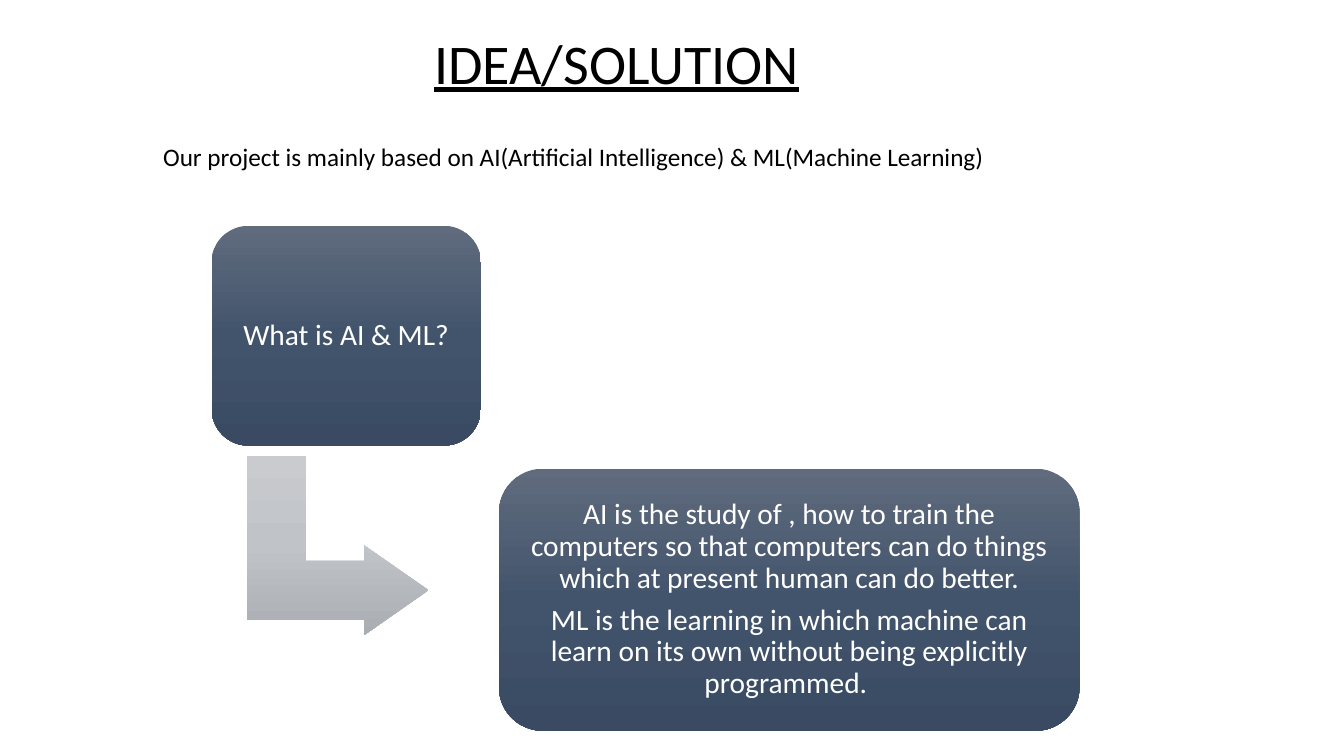
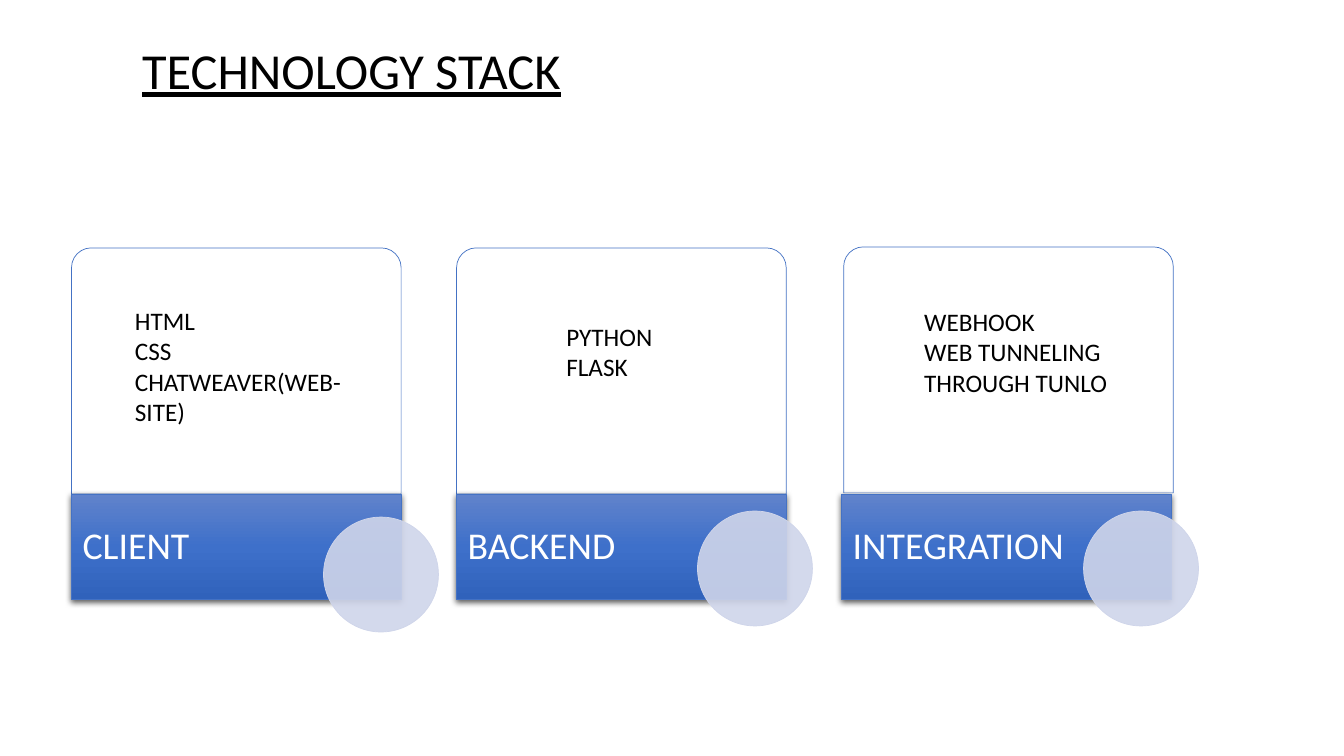
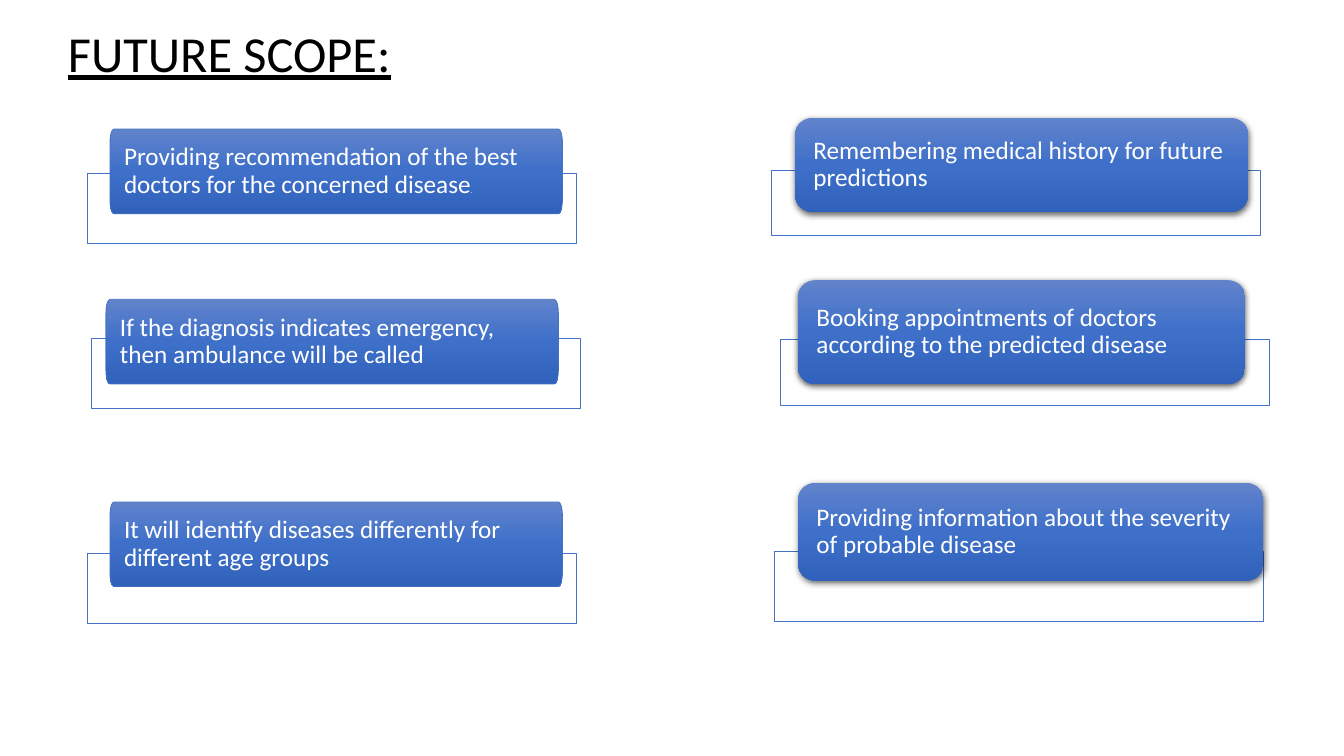
from lxml.etree import SubElement
from pptx import Presentation
from pptx.dml.color import RGBColor
from pptx.enum.shapes import MSO_SHAPE as Preset
from pptx.enum.text import MSO_ANCHOR as Anchor, MSO_AUTO_SIZE as AutoSize, PP_ALIGN as Align
from pptx.oxml.ns import qn
from pptx.util import Pt

PX = 9144
CURVE = 0.55
FONT = "Calibri"
COLORS = {"ink": "000000", "paper": "FFFFFF", "outline": "4472C4", "disc": "CFD5EA"}
GRADIENTS = {
    "slate": ["606B7D", "42546C", "394A62"],
    "blue": ["6183CB", "3E70CA", "3062BB"],
    "silver": ["C9CBCF", "C0C3C7", "AAADB2"],
}
COMPACT = {"line_spacing": 0.9}

ANSWERS = [
    "AI is the study of , how to train the computers so that computers can do things "
    "which at present human can do better.",
    "ML is the learning in which machine can learn on its own without being explicitly programmed. ",
]
STACK = [
    ("CLIENT", ["HTML", "CSS", "CHATWEAVER(WEB-SITE)"], (0, 0), (53, 52, 227, 131), (250, 267)),
    ("BACKEND", ["PYTHON", "FLASK"], (0, 0), (99, 68, 194, 71), (239, 261)),
    ("INTEGRATION", ["WEBHOOK", "WEB TUNNELING", "THROUGH TUNLO"], (2, -1), (72, 53, 216, 101), (240, 261)),
]
LEFT_STYLE = {"radii": (4, 14), "insets": (14, 1, 14, 1), "shadow": False}
RIGHT_STYLE = {"radii": (17, 16), "insets": (18, 5, 18, 5), "shadow": True}
SCOPE = [
    (LEFT_STYLE, (87, 172, 485, 69), (22, -44, 449, 84),
     "Providing recommendation of the best doctors for the concerned disease", "."),
    (LEFT_STYLE, (91, 336, 485, 69), (14, -39, 449, 84),
     "If the diagnosis indicates emergency, then ambulance will be called", ""),
    (LEFT_STYLE, (87, 549, 485, 69), (22, -51, 449, 84),
     "It will identify diseases differently for different age groups", ""),
    (RIGHT_STYLE, (765, 169, 485, 65), (24, -52, 449, 93),
     "Remembering medical history for future predictions", ""),
    (RIGHT_STYLE, (774, 337, 485, 65), (18, -59, 443, 103),
     "Booking appointments of doctors according to the predicted disease", ""),
    (RIGHT_STYLE, (768, 547, 485, 69), (24, -68, 461, 97),
     "Providing information about the severity of probable disease", ""),
]


def set_values(target, values):
    """Set each named attribute of the target."""
    for name, value in values.items():
        setattr(target, name, value)


def emu(box):
    """Turn px lengths into EMU."""
    return [length * PX for length in box]


def add_run(paragraph, text, size, color="ink", underline=None):
    """Append one formatted run."""
    run = paragraph.add_run()
    run.text = text
    set_values(run.font, {"name": FONT, "size": Pt(size), "underline": underline})
    run.font.color.rgb = RGBColor.from_string(COLORS[color])


def write(shape, lines, size, color="ink", insets=(10, 5, 10, 5), frame=None, paragraph_format=None, underline=None):
    """Write the lines into the shape, one paragraph each."""
    text_frame = shape.text_frame
    sides = ("margin_left", "margin_top", "margin_right", "margin_bottom")
    set_values(text_frame, dict(zip(sides, emu(insets))))
    set_values(text_frame, {"word_wrap": True, "vertical_anchor": Anchor.TOP, **(frame or {})})
    for index, line in enumerate(lines):
        paragraph = text_frame.add_paragraph() if index else text_frame.paragraphs[0]
        set_values(paragraph, {"alignment": Align.LEFT, **(paragraph_format or {})})
        add_run(paragraph, line, size, color, underline)


def add_title(slide, box, text, size, wrap=False, alignment=Align.LEFT):
    """Move the title placeholder and write the underlined title."""
    title = slide.shapes.title
    set_values(title, dict(zip(("left", "top", "width", "height"), emu(box))))
    frame = {"word_wrap": wrap, "auto_size": AutoSize.SHAPE_TO_FIT_TEXT}
    write(title, [text], size, frame=frame, paragraph_format={"alignment": alignment}, underline=True)


def add_text(slide, box, lines, size=18, wrap=True):
    """Add a plain text box."""
    frame = {"word_wrap": wrap, "auto_size": AutoSize.SHAPE_TO_FIT_TEXT}
    write(slide.shapes.add_textbox(*emu(box)), lines, size, frame=frame)


def paint_gradient(shape, name):
    """Fill the shape from top to bottom with three evenly spaced colours."""
    shape.fill.gradient()
    shape.fill.gradient_angle = 270
    gradient = shape.element.spPr.find(qn("a:gradFill"))
    gradient.set("rotWithShape", "0")
    stops = gradient.find(qn("a:gsLst"))
    stops.clear()
    for index, color in enumerate(GRADIENTS[name]):
        stop = SubElement(stops, qn("a:gs"), pos=str(index * 50000))
        SubElement(stop, qn("a:srgbClr"), val=color)


def paint_solid(fill, name):
    """Fill with one colour."""
    fill.solid()
    fill.fore_color.rgb = RGBColor.from_string(COLORS[name])


def set_outline(shape, name):
    """Give the shape a thin outline, or none."""
    if name:
        paint_solid(shape.line.fill, name)
        shape.line.width = Pt(0.5)
    else:
        shape.line.fill.background()


def cast_shadow(shape):
    """Add a soft shadow below the shape."""
    effects = shape.element.spPr.find(qn("a:effectLst"))
    shadow = SubElement(effects, qn("a:outerShdw"), blurRad="57150", dist="19050", dir="5400000", rotWithShape="0")
    SubElement(SubElement(shadow, qn("a:srgbClr"), val=COLORS["ink"]), qn("a:alpha"), val="63000")


def finish(shape, fill, outline=None, shadow=False):
    """Set fill, outline and shadow of a shape."""
    shape.shadow.inherit = False
    set_outline(shape, outline)
    if fill in GRADIENTS:
        paint_gradient(shape, fill)
    else:
        paint_solid(shape.fill, fill)
        color = next(shape.element.spPr.find(qn("a:solidFill")).iter(qn("a:srgbClr")))
        SubElement(color, qn("a:alpha"), val="90000")
    if shadow:
        cast_shadow(shape)
    return shape


def add_preset(slide, preset, box, fill, outline=None, shadow=False, adjustments=()):
    """Add a preset shape with its look."""
    shape = slide.shapes.add_shape(preset, *emu(box))
    for index, value in enumerate(adjustments):
        shape.adjustments[index] = value
    return finish(shape, fill, outline, shadow)


def bend(segment, start, corner, end):
    """Turn a straight path segment into a curve around the corner."""
    segment.tag = qn("a:cubicBezTo")
    segment.clear()
    controls = [[round(a + CURVE * (c - a)) for a, c in zip(point, corner)] for point in (start, end)]
    for x, y in (*controls, end):
        SubElement(segment, qn("a:pt"), x=str(x), y=str(y))


def add_rounded_outline(slide, box, radii, fill, outline, shadow):
    """Add a rectangle with elliptical corners as a freeform."""
    left, top, width, height = emu(box)
    radius_x, radius_y = emu(radii)
    points = [
        (0, radius_y), (radius_x, 0),
        (width - radius_x, 0), (width, radius_y),
        (width, height - radius_y), (width - radius_x, height),
        (radius_x, height), (0, height - radius_y),
    ]
    corners = [(0, 0), (width, 0), (width, height), (0, height)]
    builder = slide.shapes.build_freeform(*points[0])
    builder.add_line_segments(points[1:], close=True)
    shape = builder.convert_to_shape(left, top)
    segments = list(shape.element.spPr.iter(qn("a:lnTo")))
    for index, corner in enumerate(corners):
        bend(segments[2 * index], points[2 * index], corner, points[2 * index + 1])
    return finish(shape, fill, outline, shadow)


def add_step(slide, box, lines):
    """Add a rounded slate box with centred text."""
    shape = add_preset(slide, Preset.ROUNDED_RECTANGLE, box, "slate", adjustments=[0.167])
    write(shape, lines, 21, "paper", (9, 9, 9, 9), {"vertical_anchor": Anchor.MIDDLE},
          {**COMPACT, "alignment": Align.CENTER, "space_after": Pt(7.35)})


def add_stack_card(slide, box, name, items, panel_shift, items_box, disc_at):
    """Add a panel over a named band, with a disc and a list of items."""
    left, top, width, height = box
    panel_height = 244
    shift_x, shift_y = panel_shift
    add_preset(slide, Preset.ROUND_2_SAME_RECTANGLE, (left + shift_x, top + shift_y, width, panel_height),
               "paper", "outline", adjustments=[0.08, 0])
    band = add_preset(slide, Preset.RECTANGLE, (left, top + panel_height, width, height - panel_height),
                      "blue", "outline", True)
    write(band, [name], 27, "paper", (11, 0, 101, 0), {"vertical_anchor": Anchor.MIDDLE}, COMPACT)
    add_preset(slide, Preset.OVAL, (left + disc_at[0], top + disc_at[1], 114, 114), "disc", "disc")
    items_x, items_y, items_width, items_height = items_box
    add_text(slide, (left + items_x, top + items_y, items_width, items_height), items)


def add_scope_item(slide, box, panel_box, style, text, small_end):
    """Add an outlined frame with a text panel placed over its top edge."""
    left, top = box[:2]
    shift_x, shift_y, width, height = panel_box
    add_preset(slide, Preset.RECTANGLE, box, "paper", "outline")
    panel = add_rounded_outline(slide, (left + shift_x, top + shift_y, width, height), style["radii"],
                                "blue", None if style["shadow"] else "outline", style["shadow"])
    write(panel, [text], 18, "paper", style["insets"], {"vertical_anchor": Anchor.MIDDLE}, COMPACT)
    if small_end:
        add_run(panel.text_frame.paragraphs[0], small_end, 5, "paper")


def build_idea(slide):
    """Build the idea slide."""
    add_title(slide, (421, 23, 386, 77), "IDEA/SOLUTION", 40)
    add_text(slide, (152, 135, 843, 40),
             ["Our project is mainly based on AI(Artificial Intelligence) & ML(Machine Learning)"], wrap=False)
    arrow = add_preset(slide, Preset.BENT_UP_ARROW, (246, 451, 178, 180), "silver",
                       adjustments=[0.328, 0.25, 0.358])
    arrow.rotation = 90
    add_step(slide, (210, 224, 267, 218), ["What is AI & ML?"])
    add_step(slide, (495, 465, 576, 260), ANSWERS)


def build_stack(slide):
    """Build the technology slide."""
    add_title(slide, (131, 34, 440, 71), "TECHNOLOGY STACK", 36)
    for index, card in enumerate(STACK):
        add_stack_card(slide, (71 + index * 382, 246, 327, 349), *card)


def build_scope(slide):
    """Build the future scope slide."""
    add_title(slide, (48, 17, 359, 162), "FUTURE SCOPE:", 36, True, Align.CENTER)
    for style, box, panel_box, text, small_end in SCOPE:
        add_scope_item(slide, box, panel_box, style, text, small_end)


def main():
    """Build and save the presentation."""
    presentation = Presentation()
    set_values(presentation, {"slide_width": 4000 * PX // 3, "slide_height": 750 * PX})
    title_only = presentation.slide_layouts[5]
    for build in (build_idea, build_stack, build_scope):
        build(presentation.slides.add_slide(title_only))
    presentation.save("out.pptx")


if __name__ == "__main__":
    main()
